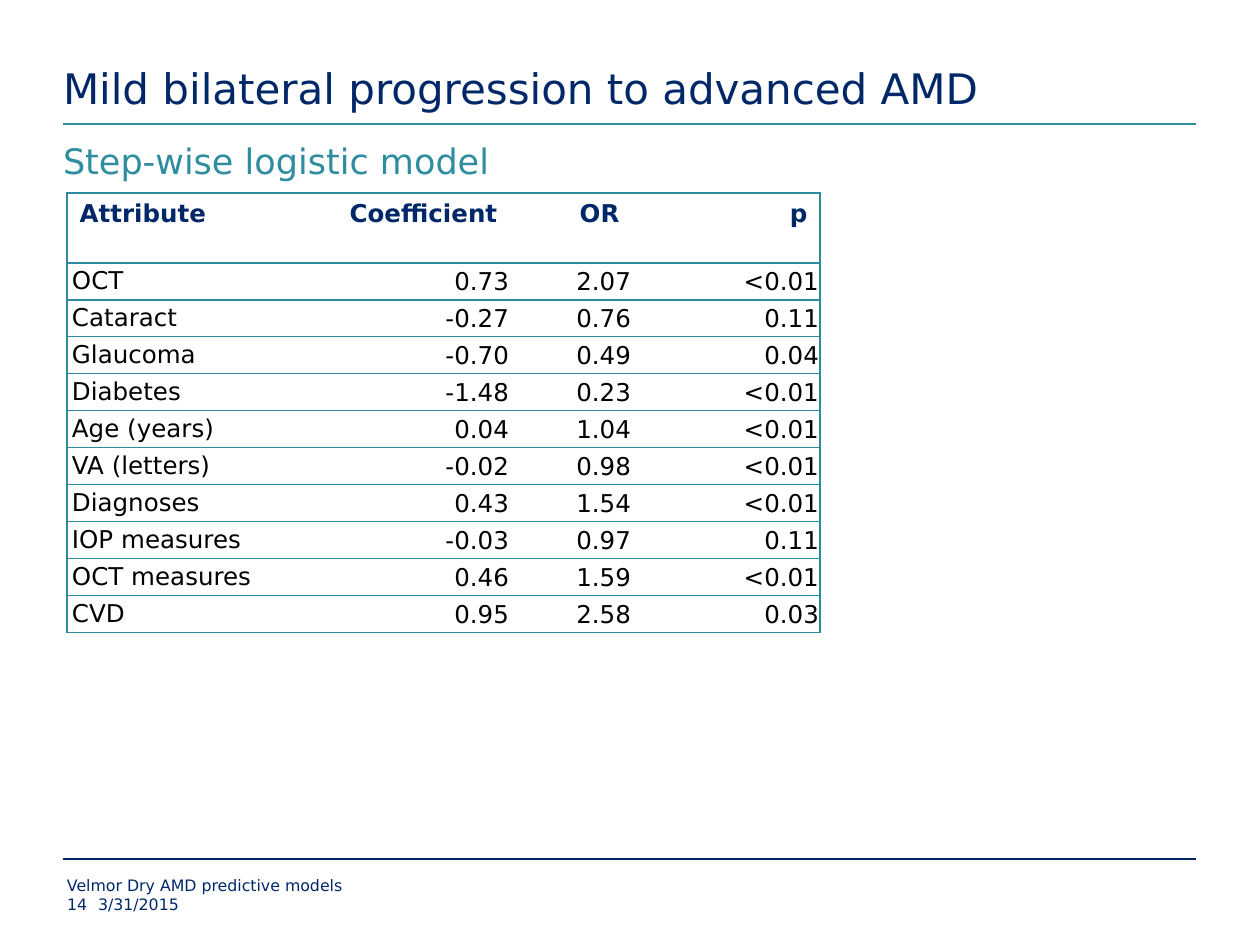
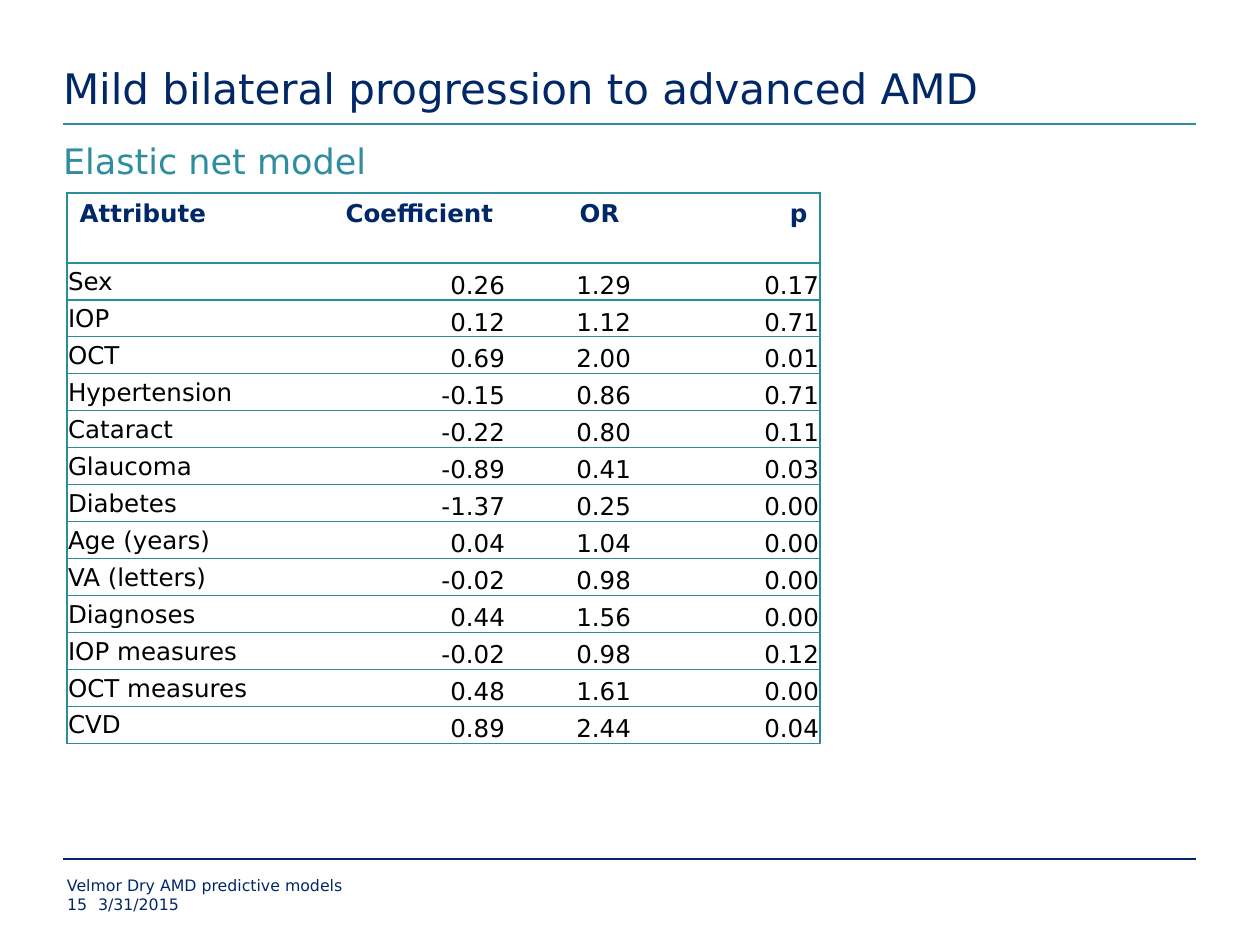
from collections import namedtuple
from dataclasses import dataclass

from lxml import etree
from pptx import Presentation
from pptx import util as u
from pptx.dml.color import RGBColor
from pptx.enum import shapes, text
from pptx.oxml import ns


@dataclass(frozen=True)
class Theme:
    font: str = "DejaVu Sans"
    navy: str = "002868"
    teal: str = "2E8D9E"
    grid: str = "2A8C9D"
    ink: str = "000000"
    paper: str = "FFFFFF"
    title_size: int = 24
    subtitle_size: int = 20
    table_size: int = 14
    footer_size: int = 9
    rule_width: float = 1.5
    grid_width: float = 0.75


THEME = Theme()
EMU_PER_PX = u.Inches(1) / 126
TITLE = "Mild bilateral progression to advanced AMD"
FOOTER = "Velmor Dry AMD predictive models"
DATE = "3/31/2015"
HEADER = ("Attribute", "Coefficient", "OR", "p")
HEADER_HEIGHT, ROW_HEIGHT = 70, 37

Look = namedtuple("Look", "columns name_anchor name_margins value_anchor")
VALUE_MARGINS = (1, 1, 1, 0)

STEPWISE_LOOK = Look((259, 184, 122, 188), text.MSO_ANCHOR.TOP, (5, 4, 5, 0),
                     text.MSO_ANCHOR.MIDDLE)
ELASTIC_LOOK = Look((259, 180, 126, 188), text.MSO_ANCHOR.MIDDLE, VALUE_MARGINS,
                    text.MSO_ANCHOR.BOTTOM)

STEPWISE = [
    ("OCT", "0.73", "2.07", "<0.01"),
    ("Cataract", "-0.27", "0.76", "0.11"),
    ("Glaucoma", "-0.70", "0.49", "0.04"),
    ("Diabetes", "-1.48", "0.23", "<0.01"),
    ("Age (years)", "0.04", "1.04", "<0.01"),
    ("VA (letters)", "-0.02", "0.98", "<0.01"),
    ("Diagnoses", "0.43", "1.54", "<0.01"),
    ("IOP measures", "-0.03", "0.97", "0.11"),
    ("OCT measures", "0.46", "1.59", "<0.01"),
    ("CVD", "0.95", "2.58", "0.03"),
]
ELASTIC = [
    ("Sex", "0.26", "1.29", "0.17"),
    ("IOP", "0.12", "1.12", "0.71"),
    ("OCT", "0.69", "2.00", "0.01"),
    ("Hypertension", "-0.15", "0.86", "0.71"),
    ("Cataract", "-0.22", "0.80", "0.11"),
    ("Glaucoma", "-0.89", "0.41", "0.03"),
    ("Diabetes", "-1.37", "0.25", "0.00"),
    ("Age (years)", "0.04", "1.04", "0.00"),
    ("VA (letters)", "-0.02", "0.98", "0.00"),
    ("Diagnoses", "0.44", "1.56", "0.00"),
    ("IOP measures", "-0.02", "0.98", "0.12"),
    ("OCT measures", "0.48", "1.61", "0.00"),
    ("CVD", "0.89", "2.44", "0.04"),
]


def px(length):
    return u.Emu(round(length * EMU_PER_PX))


def style(paragraph, size, color, bold=False, align=text.PP_ALIGN.LEFT):
    paragraph.alignment = align
    font = paragraph.font
    font.name, font.size, font.bold = THEME.font, u.Pt(size), bold
    font.color.rgb = RGBColor.from_string(color)


def set_margins(target, margins):
    (target.margin_left, target.margin_top,
     target.margin_right, target.margin_bottom) = map(px, margins)


def fill_box(box, wording, size, color, anchor=text.MSO_ANCHOR.TOP, top_margin=0):
    frame = box.text_frame
    frame.text = wording
    frame.word_wrap = True
    frame.auto_size = text.MSO_AUTO_SIZE.NONE
    frame.vertical_anchor = anchor
    set_margins(frame, (0, top_margin, 0, 0))
    style(frame.paragraphs[0], size, color)


def place(placeholder, left, top, width, height):
    placeholder.left, placeholder.top = px(left), px(top)
    placeholder.width, placeholder.height = px(width), px(height)


def add_title(slide):
    title = slide.shapes.title
    place(title, 63, 0, 1134, 113)
    fill_box(title, TITLE, THEME.title_size, THEME.navy, text.MSO_ANCHOR.BOTTOM)


def add_subtitle(slide, model):
    subtitle = slide.placeholders[1]
    place(subtitle, 63, 135, 1134, 62)
    subtitle.text_frame.text = model
    properties = subtitle.text_frame.paragraphs[0]._p.get_or_add_pPr()
    properties.set("marL", "0")
    properties.set("indent", "0")
    etree.SubElement(properties, ns.qn("a:buNone"))
    properties_owner = subtitle.text_frame.paragraphs[0]
    properties_owner.space_before = u.Pt(0)
    frame = subtitle.text_frame
    frame.word_wrap = True
    frame.auto_size = text.MSO_AUTO_SIZE.NONE
    set_margins(frame, (0, 4, 0, 0))
    style(properties_owner, THEME.subtitle_size, THEME.teal)


def add_rule(slide, y, color):
    rule = slide.shapes.add_connector(
        shapes.MSO_CONNECTOR.STRAIGHT, px(63), px(y), px(1196), px(y))
    rule.line.color.rgb = RGBColor.from_string(color)
    rule.line.width = u.Pt(THEME.rule_width)
    etree.SubElement(rule._element.spPr, ns.qn("a:effectLst"))


def add_footer(slide, number):
    for wording, left, top, width in (
            (FOOTER, 67, 876, 945), (str(number), 67, 895, 31), (DATE, 98, 895, 914)):
        box = slide.shapes.add_textbox(px(left), px(top), px(width), px(19))
        fill_box(box, wording, THEME.footer_size, THEME.navy)


def set_borders(cell, drawn_sides):
    properties = cell._tc.get_or_add_tcPr()
    for side in "LRTB":
        border = etree.SubElement(properties, ns.qn(f"a:ln{side}"))
        if side in drawn_sides:
            border.set("w", str(u.Pt(THEME.grid_width)))
            solid = etree.SubElement(border, ns.qn("a:solidFill"))
            etree.SubElement(solid, ns.qn("a:srgbClr"), val=THEME.grid)
        else:
            etree.SubElement(border, ns.qn("a:noFill"))


def format_cell(cell, row, column, look):
    is_header, is_name = row == 0, column == 0
    set_borders(cell, "TB" + {0: "L", len(HEADER) - 1: "R"}.get(column, ""))
    if is_header:
        cell.fill.solid()
        cell.fill.fore_color.rgb = RGBColor.from_string(THEME.paper)
    else:
        cell.fill.background()
        cell.vertical_anchor = look.name_anchor if is_name else look.value_anchor
        set_margins(cell, look.name_margins if is_name else VALUE_MARGINS)
    style(cell.text_frame.paragraphs[0], THEME.table_size,
          THEME.navy if is_header else THEME.ink, is_header,
          text.PP_ALIGN.LEFT if is_name else text.PP_ALIGN.RIGHT)


def add_model_table(slide, estimates, look):
    lines = [HEADER, *estimates]
    table = slide.shapes.add_table(
        len(lines), len(HEADER), px(67), px(193), px(sum(look.columns)),
        px(HEADER_HEIGHT + ROW_HEIGHT * len(estimates))).table
    table.horz_banding = False
    table.first_row = False
    for column, width in zip(table.columns, look.columns):
        column.width = px(width)
    for r, line in enumerate(lines):
        table.rows[r].height = px(ROW_HEIGHT if r else HEADER_HEIGHT)
        for c, wording in enumerate(line):
            cell = table.cell(r, c)
            cell.text = wording
            format_cell(cell, r, c, look)


def add_model_slide(deck, number, model, estimates, look):
    slide = deck.slides.add_slide(deck.slide_layouts[1])
    add_rule(slide, 124, THEME.teal)
    add_rule(slide, 859, THEME.navy)
    add_title(slide)
    add_footer(slide, number)
    add_subtitle(slide, model)
    add_model_table(slide, estimates, look)


def main():
    deck = Presentation()
    deck.slide_width, deck.slide_height = px(1260), px(945)
    add_model_slide(deck, 14, "Step-wise logistic model", STEPWISE, STEPWISE_LOOK)
    add_model_slide(deck, 15, "Elastic net model", ELASTIC, ELASTIC_LOOK)
    deck.save("out.pptx")


if __name__ == "__main__":
    main()
